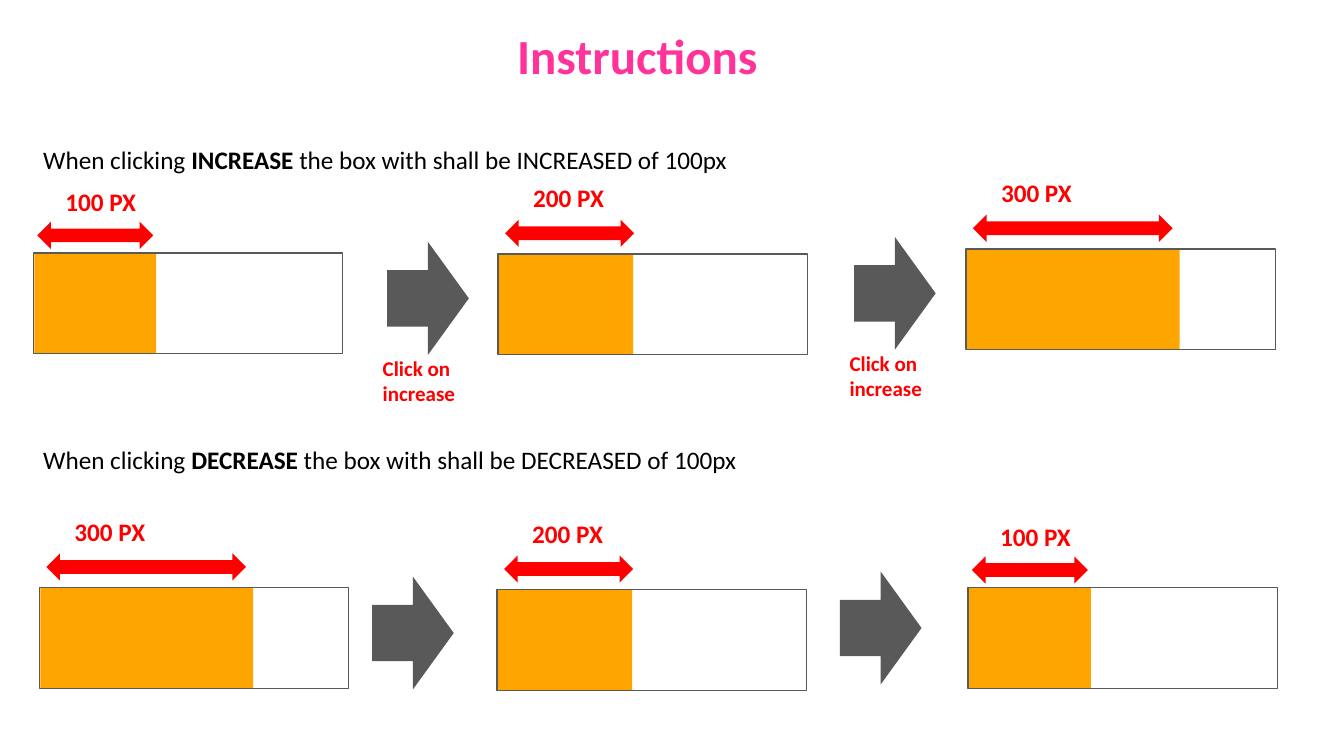
from pptx import Presentation
from pptx.dml.color import RGBColor
from pptx.enum.shapes import MSO_SHAPE as Shape
from pptx.enum.text import MSO_AUTO_SIZE as AutoSize, PP_ALIGN as Align
from pptx.util import Inches, Pt

# Content
TITLE = ("Instructions", (5.03, 0.2, 2.68, 0.69))
RULES = [  # top, action
    (1.38, "INCREASE"),
    (4.36, "DECREASE"),
]
GAUGES = [  # frame left, frame top, pixels
    (0.33, 2.51, 100), (4.94, 2.52, 200), (9.58, 2.47, 300),
    (0.39, 5.83, 300), (4.93, 5.85, 200), (9.6, 5.83, 100),
]
STEPS = [  # arrow left, arrow top, caption lines
    (3.84, 2.4, ["Click on ", "increase"]),
    (8.47, 2.35, ["Click on ", "increase"]),
    (3.69, 5.72, []),
    (8.33, 5.67, []),
]
# pixels: bar width, span width, span offset from frame (x, y), label rise
GAUGE_SIZES = {
    100: (1.21, 1.15, 0.04, -0.31, 0.4),
    200: (1.33, 1.28, 0.07, -0.34, 0.42),
    300: (2.11, 1.98, 0.07, -0.34, 0.42),
}

FONT = "Calibri"
PINK = RGBColor(0xFF, 0x33, 0x99)
BLACK = RGBColor(0, 0, 0)
RED = RGBColor(0xFF, 0, 0)
ORANGE = RGBColor(0xFF, 0xA5, 0)
GRAY = RGBColor(0x59, 0x59, 0x59)
WHITE = RGBColor(0xFF, 0xFF, 0xFF)

prs = Presentation()
prs.slide_width, prs.slide_height = Inches(13.33), Inches(7.5)
slide = prs.slides.add_slide(prs.slide_layouts[6])


def add_shape(kind, box, fill=None, line=None):
    shape = slide.shapes.add_shape(kind, *map(Inches, box))
    shape.shadow.inherit = False
    if fill is None:
        shape.fill.background()
    else:
        shape.fill.solid()
        shape.fill.fore_color.rgb = fill
    if line is None:
        shape.line.fill.background()
    else:
        shape.line.color.rgb = line
        shape.line.width = Pt(1)
    return shape


def write(shape, lines, size, color, bold=False, wrap=True, align=Align.LEFT):
    """Each line is a list of (text, bold) runs or a plain string."""
    frame = shape.text_frame
    frame.word_wrap = wrap
    frame.auto_size = AutoSize.SHAPE_TO_FIT_TEXT
    for index, line in enumerate(lines):
        paragraph = frame.add_paragraph() if index else frame.paragraphs[0]
        paragraph.alignment = align
        font = paragraph.font
        font.name, font.size, font.bold = FONT, Pt(size), bold
        font.color.rgb = color
        runs = [(line, None)] if isinstance(line, str) else line
        for text, run_bold in runs:
            run = paragraph.add_run()
            run.text = text
            run.font.bold = run_bold


def add_text(box, lines, size, color, **style):
    write(slide.shapes.add_textbox(*map(Inches, box)), lines, size, color, **style)


# Title and the two rules
title, title_box = TITLE
add_text(title_box, [title], 35, PINK, bold=True)
for top, action in RULES:
    sentence = [("When clicking ", None), (action, True),
                (f" the box with shall be {action}D of 100px", None)]
    add_text((0.33, top, 8.07, 0.4), [sentence], 18, BLACK)

# Step arrows, each over its caption
for left, top, caption in STEPS:
    if caption:
        plate = add_shape(Shape.RECTANGLE, (left - 0.15, top + 1.07, 0.93, 0.61), WHITE)
        write(plate, caption, 15, RED, bold=True, wrap=False, align=Align.CENTER)
    add_shape(Shape.RIGHT_ARROW, (left, top, 0.81, 1.12), GRAY)

# Gauges: bar, frame, span arrow and label
for left, top, pixels in GAUGES:
    bar_width, span_width, dx, dy, label_rise = GAUGE_SIZES[pixels]
    span_left, span_top = left + dx, top + dy
    add_shape(Shape.RECTANGLE, (left + 0.01, top, bar_width, 1), ORANGE)
    add_shape(Shape.RECTANGLE, (left, top, 3.07, 1), line=GRAY)
    add_shape(Shape.LEFT_RIGHT_ARROW, (span_left, span_top, span_width, 0.27), RED)
    add_text((span_left + 0.18, span_top - label_rise, 0.91, 0.4),
             [f"{pixels} PX"], 18, RED, bold=True, wrap=False)

prs.save("out.pptx")
